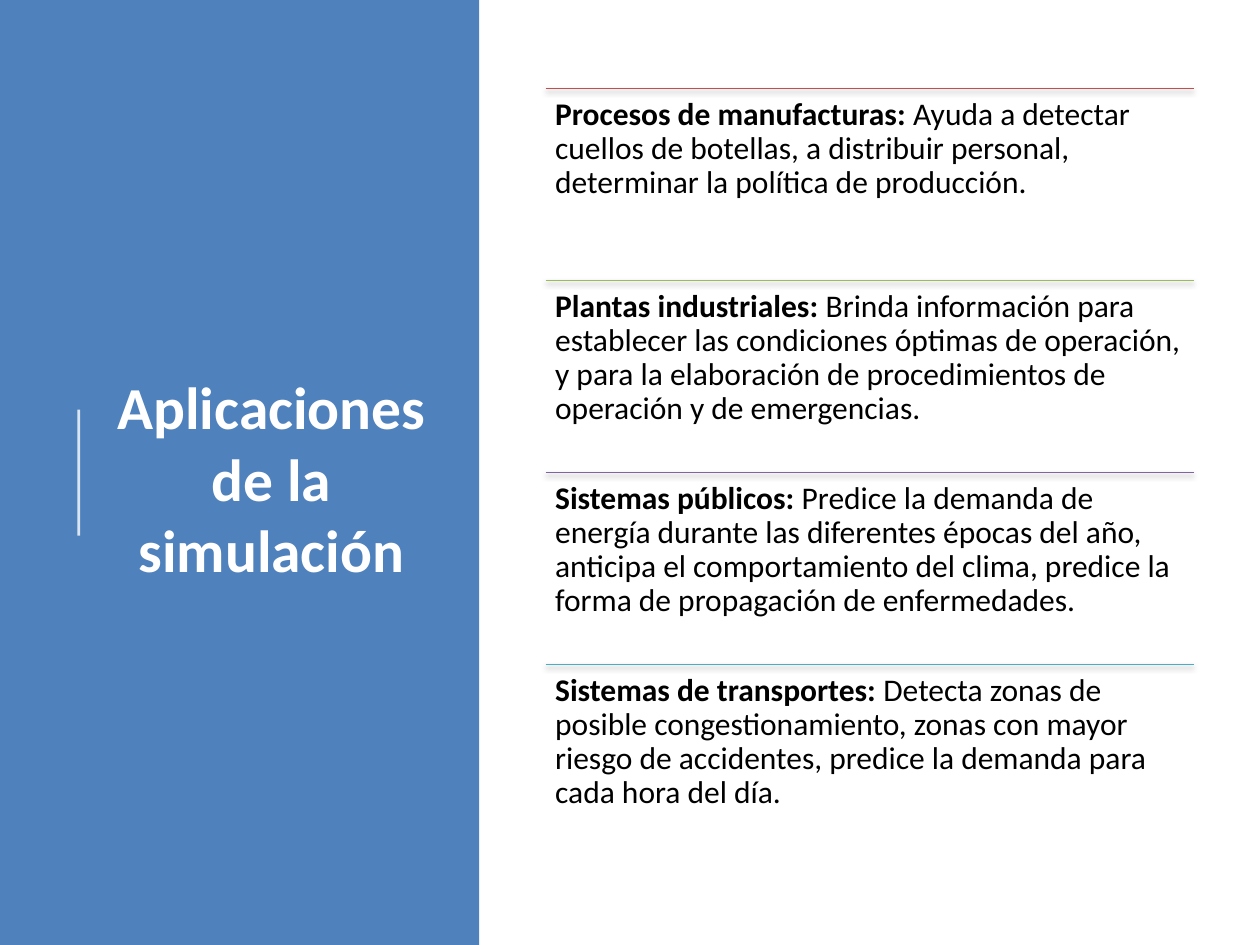
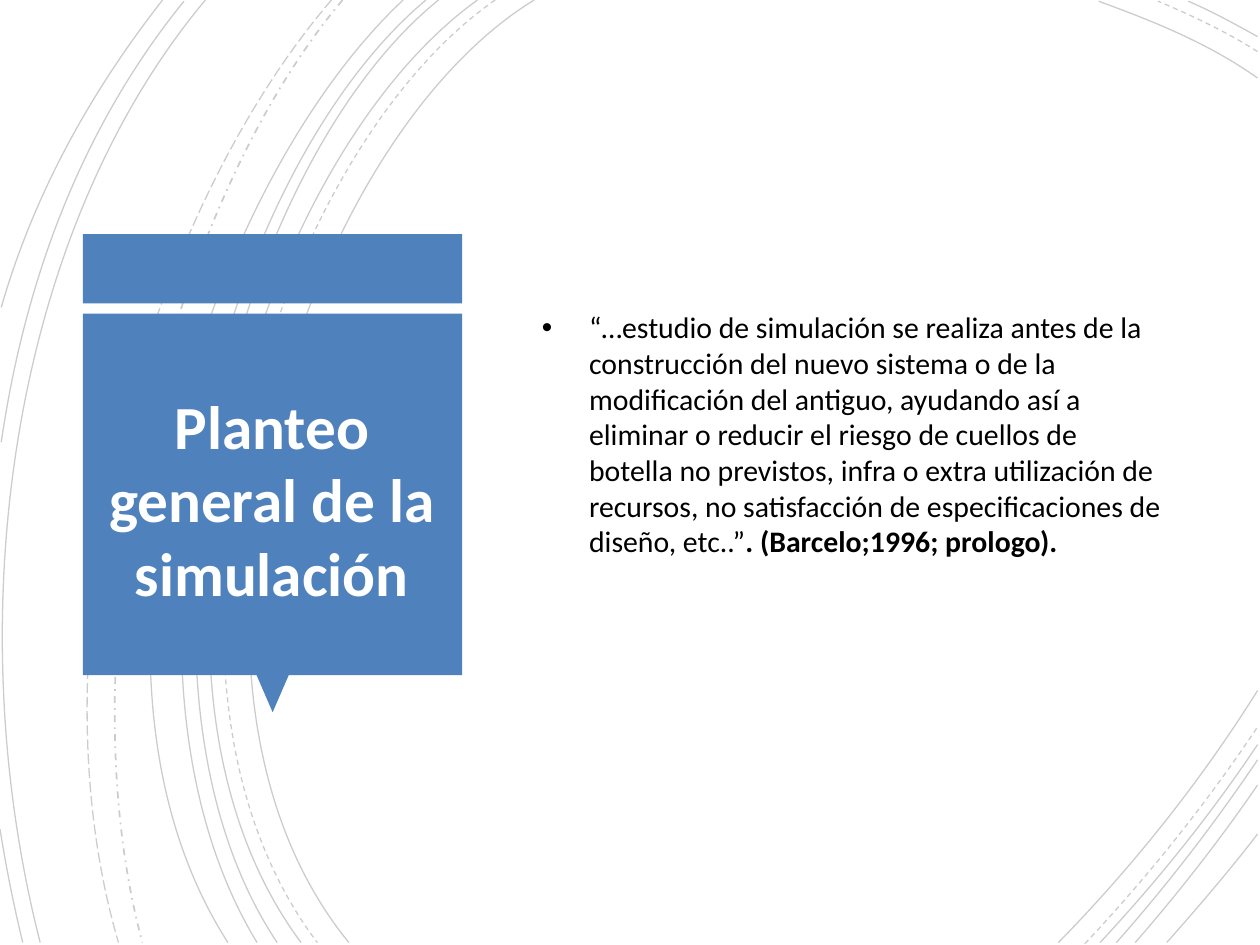
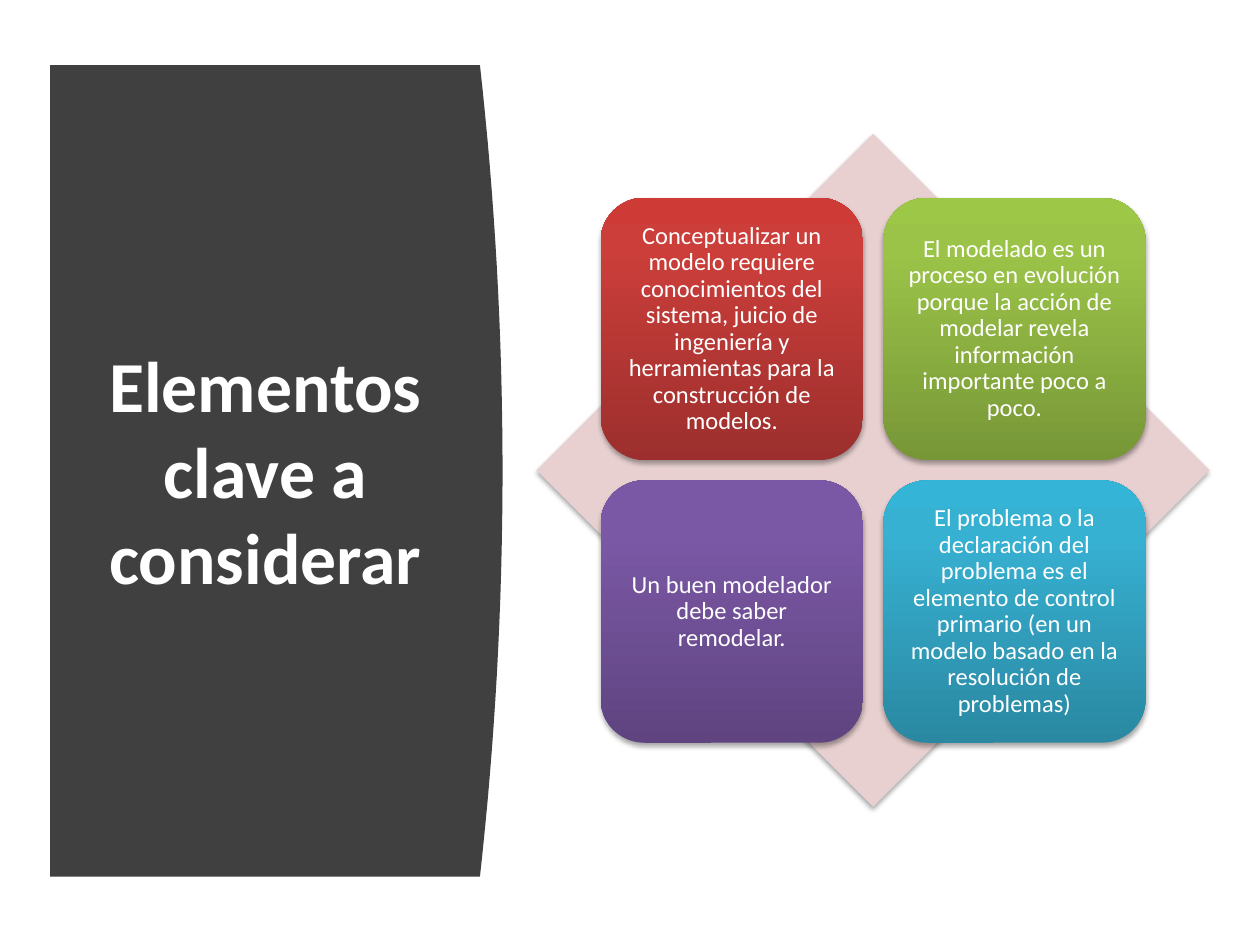
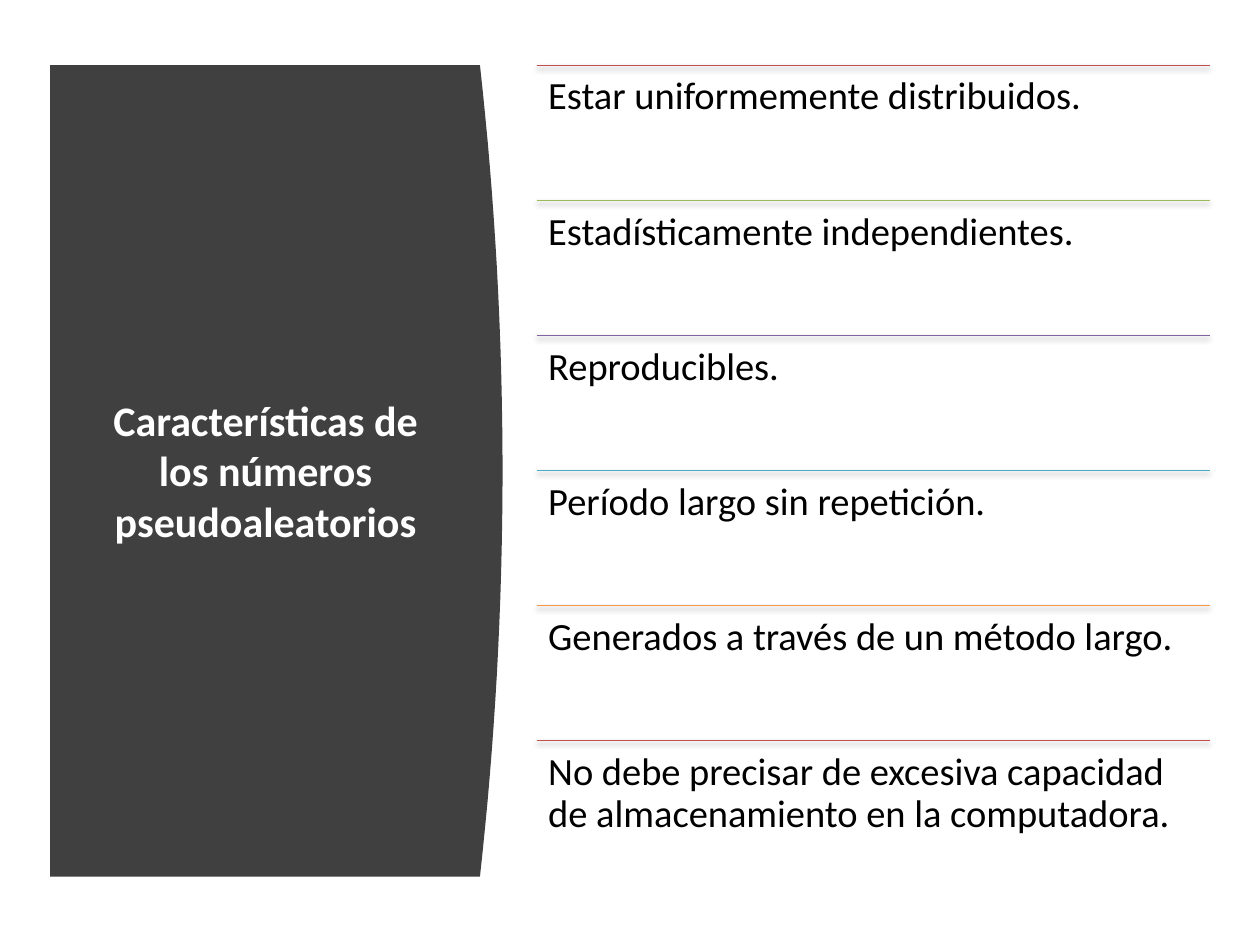
from collections import namedtuple
from dataclasses import dataclass

from lxml.etree import SubElement
from pptx import Presentation
from pptx.dml.color import RGBColor
from pptx.enum.dml import MSO_LINE_DASH_STYLE as Dash
from pptx.enum.shapes import MSO_CONNECTOR as Connector
from pptx.enum.shapes import MSO_SHAPE as Preset
from pptx.enum.text import MSO_ANCHOR as Anchor
from pptx.enum.text import PP_ALIGN as Align
from pptx.oxml.ns import qn
from pptx.util import Pt

Box = namedtuple("Box", "left top width height")
Span = namedtuple("Span", "text bold", defaults=(False,))


@dataclass(frozen=True)
class Theme:
    font: str = "Calibri"
    white: str = "FFFFFF"
    black: str = "000000"
    blue: str = "4F81BD"
    charcoal: str = "404040"
    blush: str = "E8D0D0"
    accents: tuple = ("C0504D", "9BBB59", "8064A2", "4BACC6", "F79646")
    card_shades: tuple = (
        ("9C2F2D", "CB3E3A", "CE3B37"),
        ("779737", "9BC348", "9DC746"),
        ("5F4480", "7B58A6", "7C57A8"),
        ("2A88A2", "37B1D2", "34B4D6"),
    )
    shade_stops: tuple = (0, 80, 100)
    hairline: float = 0.75
    band_title: float = 34
    callout_title: float = 35
    panel_title: float = 41
    panel_small_title: float = 24
    detail: float = 18
    quote: float = 17
    card: float = 14
    feature: float = 22


THEME = Theme()
PAGE = Box(0, 0, 720, 540)
PANEL = Box(28.7, 37.2, 258.5, 463.8)
PANEL_TITLE = Box(51, 79.9, 201.6, 377.3)

APPLICATIONS = (
    (Span("Procesos de manufacturas: ", True),
     Span("Ayuda a detectar cuellos de botellas, a distribuir personal, "
          "determinar la política de producción.")),
    (Span("Plantas industriales: ", True),
     Span("Brinda información para establecer las condiciones óptimas de operación, "
          "y para la elaboración de procedimientos de operación y de emergencias.")),
    (Span("Sistemas públicos: ", True),
     Span("Predice la demanda de energía durante las diferentes épocas del año, "
          "anticipa el comportamiento del clima, predice la forma de propagación "
          "de enfermedades.")),
    (Span("Sistemas de transportes: ", True),
     Span("Detecta zonas de posible congestionamiento, zonas con mayor riesgo de "
          "accidentes, predice la demanda para cada hora del día.")),
)
QUOTE = (
    Span("“…estudio de simulación se realiza antes de la construcción del nuevo "
         "sistema o de la modificación del antiguo, ayudando así a eliminar o reducir "
         "el riesgo de cuellos de botella no previstos, infra o extra utilización de "
         "recursos, no satisfacción de especificaciones de diseño, etc..”"),
    Span(". (Barcelo;1996; prologo).", True),
)
KEY_ELEMENTS = (
    "Conceptualizar un modelo requiere conocimientos del sistema, juicio de "
    "ingeniería y herramientas para la construcción de modelos.",
    "El modelado es un proceso en evolución porque la acción de modelar revela "
    "información importante poco a poco.",
    "Un buen modelador debe saber remodelar.",
    "El problema o la declaración del problema es el elemento de control primario "
    "(en un modelo basado en la resolución de problemas)",
)
FEATURES = tuple((Span(text),) for text in (
    "Estar uniformemente distribuidos.",
    "Estadísticamente independientes.",
    "Reproducibles.",
    "Período largo sin repetición.",
    "Generados a través de un método largo.",
    "No debe precisar de excesiva capacidad de almacenamiento en la computadora.",
))

ARCS = (
    (Dash.SOLID, (305.3, 0), (169.9, 82.8), (77, 388.8), (199.4, 538.6)),
    (Dash.SOLID, (718.6, 44.6), (690.5, 24.5), (657.4, 11.5), (627.8, 0.7)),
    (Dash.SOLID, (604.8, 538.6), (645.8, 496.8), (685.4, 447.8), (718.6, 394.6)),
    (Dash.DASH, (283, 0), (153.4, 90), (66.2, 386.6), (181.4, 538.6)),
    (Dash.DASH, (718.6, 29.5), (700.6, 18), (680.4, 8.6), (661.7, 0.7)),
    (Dash.DASH, (619.9, 539.3), (654.5, 502.6), (688.3, 460.8), (718.6, 415.4)),
    (Dash.SOLID, (272.9, 0), (145.4, 91.4), (59, 386.6), (172.1, 538.6)),
    (Dash.SOLID, (718.6, 20.9), (705.6, 13.7), (692.6, 6.5), (679, 0.7)),
    (Dash.SOLID, (628.6, 538.6), (660.2, 504.7), (691.2, 466.6), (718.6, 425.5)),
    (Dash.SOLID, (250.6, 0), (131.8, 95.8), (59, 389.5), (158.4, 538.6)),
    (Dash.SOLID, (637.9, 538.6), (666, 506.9), (693.4, 471.6), (718.6, 434.2)),
    (Dash.SOLID, (243.4, 0), (124.6, 99.4), (52.6, 383.8), (146.9, 538.6)),
    (Dash.SOLID, (648.7, 538.6), (673.2, 510.5), (697, 480.2), (718.6, 448.6)),
    (Dash.SOLID, (230.4, 0), (117.4, 105.8), (28.8, 380.9), (130.3, 538.6)),
    (Dash.SOLID, (666.7, 538.6), (684, 519.1), (702, 498.2), (718.6, 476.6)),
    (Dash.DASH_DOT, (195.8, 0), (95, 119.5), (35.3, 366.5), (81.4, 538.6)),
    (Dash.LONG_DASH, (189.4, 0), (85, 121.7), (15.1, 359.3), (67.7, 538.6)),
    (Dash.SOLID, (117.4, 0), (5.8, 133.2), (-24.5, 352.8), (23, 538.6)),
    (Dash.SOLID, (105.1, 0.7), (49.7, 69.1), (15.1, 154.1), (0.7, 252.7)),
    (Dash.SOLID, (0, 473.8), (3.6, 496.1), (7.9, 517.7), (13, 538.6)),
    (Dash.SOLID, (92.9, 0), (54, 49.7), (20.2, 108), (0.7, 175.7)),
)


def points(*lengths):
    return [Pt(length) for length in lengths]


def color(code):
    return RGBColor.from_string(code)


def set_shadow(shape, visible=False):
    effects = SubElement(shape.element.spPr, qn("a:effectLst"))
    if visible:
        shadow = SubElement(effects, qn("a:outerShdw"), blurRad=str(Pt(3.1)),
                            dist=str(Pt(1.8)), dir="5400000", rotWithShape="0")
        tint = SubElement(shadow, qn("a:srgbClr"), val=THEME.black)
        SubElement(tint, qn("a:alpha"), val="35000")


def style_line(shape, code, width, opacity=100, dash=Dash.SOLID):
    shape.line.color.rgb = color(code)
    shape.line.width = Pt(width)
    shape.line.dash_style = dash
    if opacity < 100:
        tint = shape.element.xpath(".//a:ln//a:srgbClr")[0]
        SubElement(tint, qn("a:alpha"), val=str(opacity * 1000))


def fill_plain(shape, code, shadow=False):
    shape.fill.solid()
    shape.fill.fore_color.rgb = color(code)
    shape.line.fill.background()
    set_shadow(shape, shadow)


def fill_gradient(shape, shades):
    shape.fill.gradient()
    shape.fill.gradient_angle = 90
    stops = shape.element.xpath(".//a:gradFill/a:gsLst")[0]
    for stop in list(stops):
        stops.remove(stop)
    for position, code in zip(THEME.shade_stops, shades):
        stop = SubElement(stops, qn("a:gs"), pos=str(position * 1000))
        SubElement(stop, qn("a:srgbClr"), val=code)
    shape.line.fill.background()
    set_shadow(shape, True)


def add_preset(shapes, preset, box):
    return shapes.add_shape(preset, *points(*box))


def add_line(shapes, start, end):
    return shapes.add_connector(Connector.STRAIGHT, *points(*start, *end))


def add_outline(shapes, vertices, close):
    corners = [points(*vertex) for vertex in vertices]
    builder = shapes.build_freeform(*corners[0])
    builder.add_line_segments(corners[1:], close=close)
    return builder.convert_to_shape()


def add_curve(shapes, vertices):
    shape = add_outline(shapes, vertices, False)
    segments = shape.element.xpath(".//a:lnTo")
    outline = segments[0].getparent()
    curve = SubElement(outline, qn("a:cubicBezTo"))
    for segment in segments:
        curve.append(segment[0])
        outline.remove(segment)
    return shape


def write_text(frame, spans, size, code, align=Align.LEFT, anchor=Anchor.TOP,
               inset=None, spacing=None):
    frame.word_wrap = True
    frame.vertical_anchor = anchor
    if inset is not None:
        frame.margin_left = frame.margin_right = Pt(inset)
        frame.margin_top = frame.margin_bottom = Pt(inset)
    para = frame.paragraphs[0]
    para.alignment = align
    if spacing:
        para.line_spacing = spacing
    for span in spans:
        run = para.add_run()
        run.text = span.text
        run.font.name = THEME.font
        run.font.size = Pt(size)
        run.font.bold = span.bold
        run.font.color.rgb = color(code)
    return para


def place_title(page, box, text, size):
    title = page.shapes.title
    title.element.getparent().append(title.element)
    title.left, title.top, title.width, title.height = points(*box)
    write_text(title.text_frame, [Span(text, True)], size, THEME.white,
               Align.CENTER, Anchor.MIDDLE)


def draw_ruled_list(page, box, items, size, inset):
    shapes = page.shapes.add_group_shape().shapes
    row_height = box.height / len(items)
    for index, spans in enumerate(items):
        top = box.top + index * row_height
        rule = add_line(shapes, (box.left, top), (box.left + box.width, top))
        style_line(rule, THEME.accents[index % len(THEME.accents)], THEME.hairline)
        set_shadow(rule, True)
        entry = shapes.add_textbox(*points(box.left, top, box.width, row_height))
        write_text(entry.text_frame, spans, size, THEME.black, inset=inset, spacing=0.9)


def draw_band(page, box):
    fill_plain(add_preset(page.shapes, Preset.RECTANGLE, box), THEME.blue)


def draw_band_mark(page, box):
    x = box.left + 45
    middle = box.top + box.height / 2
    mark = add_line(page.shapes, (x, middle + 36), (x, middle - 36))
    style_line(mark, THEME.white, 1.5, opacity=80)
    set_shadow(mark)


def draw_arcs(page):
    shapes = page.shapes.add_group_shape().shapes
    for dash, *vertices in ARCS:
        arc = add_curve(shapes, vertices)
        arc.fill.background()
        width = 1 if dash == Dash.DASH_DOT else THEME.hairline
        style_line(arc, THEME.black, width, opacity=20, dash=dash)
        set_shadow(arc)


def draw_callout(page, box):
    shapes = page.shapes.add_group_shape().shapes
    cap_height, gap, tip_width, tip_height = 39.6, 5.8, 18.7, 21.6
    body_height = box.height - cap_height - gap - tip_height
    body_top = box.top + cap_height + gap
    cap = add_preset(shapes, Preset.RECTANGLE,
                     Box(box.left, box.top, box.width, cap_height))
    tip = add_preset(shapes, Preset.ISOSCELES_TRIANGLE,
                     Box(box.left + (box.width - tip_width) / 2,
                         body_top + body_height - 0.4, tip_width, tip_height))
    tip.rotation = 180
    body = add_preset(shapes, Preset.RECTANGLE,
                      Box(box.left, body_top, box.width, body_height))
    for part in (cap, tip, body):
        fill_plain(part, THEME.blue)


def draw_quote(page, box):
    frame = page.shapes.add_textbox(*points(*box)).text_frame
    para = write_text(frame, QUOTE, THEME.quote, THEME.black, anchor=Anchor.MIDDLE)
    frame.margin_bottom = Pt(47.8)
    para.space_before = Pt(3.4)
    properties = para._p.get_or_add_pPr()
    properties.set("marL", str(Pt(27)))
    properties.set("indent", str(Pt(-27)))
    SubElement(properties, qn("a:buFont"), typeface="Arial")
    SubElement(properties, qn("a:buChar"), char="•")


def draw_curved_panel(page, box, steps=32):
    bulge = 0.05 * box.width
    right = box.left + box.width
    bottom = box.top + box.height
    edge = [(right - bulge * (2 * step / steps - 1) ** 2,
             box.top + box.height * step / steps) for step in range(steps + 1)]
    corners = [(box.left, bottom), (box.left, box.top)]
    fill_plain(add_outline(page.shapes, edge + corners, True), THEME.charcoal)


def draw_diamond_grid(page, box):
    shapes = page.shapes.add_group_shape().shapes
    fill_plain(add_preset(shapes, Preset.DIAMOND, box), THEME.blush, shadow=True)
    margin, side, pitch, text_margin = (
        share * box.width for share in (0.095, 0.39, 0.42, 0.019))
    text_side = side - 2 * text_margin
    for index, (text, shades) in enumerate(zip(KEY_ELEMENTS, THEME.card_shades)):
        row, column = divmod(index, 2)
        left = box.left + margin + column * pitch
        top = box.top + margin + row * pitch
        card = add_preset(shapes, Preset.ROUNDED_RECTANGLE, Box(left, top, side, side))
        fill_gradient(card, shades)
        label = shapes.add_textbox(*points(left + text_margin, top + text_margin,
                                           text_side, text_side))
        write_text(label.text_frame, [Span(text)], THEME.card, THEME.white,
                   Align.CENTER, Anchor.MIDDLE, inset=4.2, spacing=0.9)


def build_applications(page):
    band = Box(0, 0, 273.8, PAGE.height)
    draw_band(page, band)
    place_title(page, Box(55.8, 56.2, 198.7, 433.4),
                "Aplicaciones de la simulación", THEME.band_title)
    draw_band_mark(page, band)
    draw_ruled_list(page, Box(311.8, 50.6, 370.3, 438.8), APPLICATIONS, THEME.detail, 5.4)


def build_approach(page):
    draw_arcs(page)
    draw_callout(page, Box(47.4, 133.8, 216.8, 273.6))
    place_title(page, Box(53.5, 190.4, 203.8, 188.6),
                "Planteo general de la simulación", THEME.callout_title)
    draw_quote(page, Box(302.5, 63.4, 370.8, 413.3))


def build_key_elements(page):
    draw_curved_panel(page, PANEL)
    place_title(page, PANEL_TITLE, "Elementos clave a considerar", THEME.panel_title)
    draw_diamond_grid(page, Box(306.7, 76.5, 384.5, 384.5))


def build_features(page):
    draw_curved_panel(page, PANEL)
    place_title(page, PANEL_TITLE, "Características de los números pseudoaleatorios",
                THEME.panel_small_title)
    draw_ruled_list(page, Box(306.7, 37.25, 384.5, 463.2), FEATURES, THEME.feature, 6.6)


def main():
    deck = Presentation()
    deck.slide_width, deck.slide_height = points(PAGE.width, PAGE.height)
    title_only = deck.slide_layouts[5]
    for build in (build_applications, build_approach, build_key_elements, build_features):
        build(deck.slides.add_slide(title_only))
    deck.save("out.pptx")


if __name__ == "__main__":
    main()
